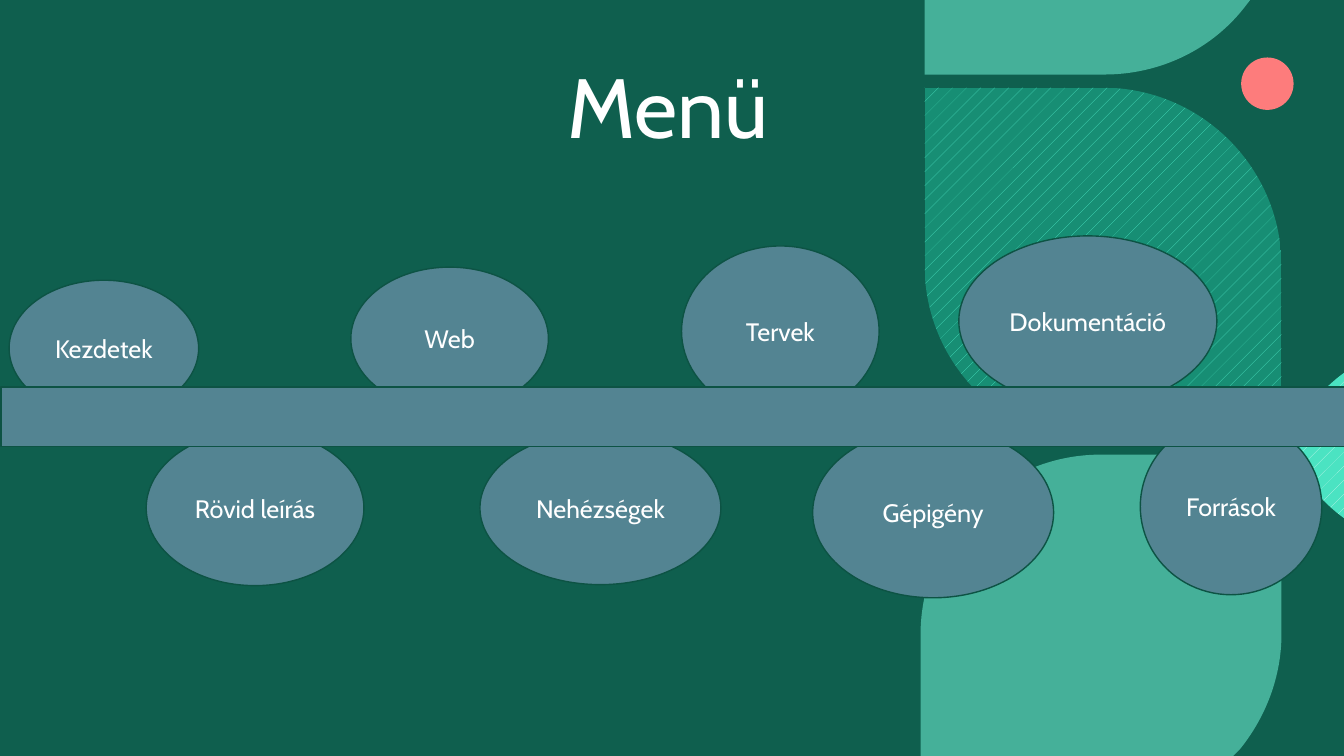
from lxml import etree
from pptx import Presentation
from pptx.dml.color import RGBColor
from pptx.enum.dml import MSO_PATTERN
from pptx.enum.shapes import MSO_SHAPE
from pptx.enum.text import MSO_ANCHOR, PP_ALIGN
from pptx.oxml.ns import qn
from pptx.util import Inches, Pt

RECT, OVAL = MSO_SHAPE.RECTANGLE, MSO_SHAPE.OVAL
LEFT, CENTER = PP_ALIGN.LEFT, PP_ALIGN.CENTER
MIDDLE, BOTTOM = MSO_ANCHOR.MIDDLE, MSO_ANCHOR.BOTTOM
HATCH = MSO_PATTERN.PERCENT_5

BACKGROUND = RGBColor(0x09, 0x39, 0x2F)
GREEN = RGBColor(0x18, 0x99, 0x7E)
DEEP_GREEN = RGBColor(0x17, 0x8E, 0x74)
MINT = RGBColor(0x69, 0xE7, 0xCC)
AQUA = RGBColor(0x4B, 0xE3, 0xC2)
PALE_AQUA = RGBColor(0xC3, 0xF6, 0xEB)
CORAL = RGBColor(0xFD, 0x7C, 0x7C)
STEEL = RGBColor(0x53, 0x84, 0x92)
EDGE = RGBColor(0x0D, 0x53, 0x44)
WHITE = RGBColor(0xFF, 0xFF, 0xFF)

prs = Presentation()
prs.slide_width, prs.slide_height = Inches(13.33), Inches(7.5)
s = prs.slides.add_slide(prs.slide_layouts[6])
s.background.fill.solid()
s.background.fill.fore_color.rgb = BACKGROUND


def paint(sp, color, opacity=100, line=None):
    sp.shadow.inherit = False
    sp.fill.solid()
    sp.fill.fore_color.rgb = color
    if opacity < 100:
        clr = next(sp.element.iter(qn("a:solidFill")))[0]
        etree.SubElement(clr, qn("a:alpha"), val=str(opacity * 1000))
    if line is None:
        sp.line.fill.background()
    else:
        sp.line.color.rgb = line
        sp.line.width = Pt(1)


def write(sp, text, size=18, align=CENTER, anchor=MIDDLE, spacing=1.0):
    tf = sp.text_frame
    tf.word_wrap = True
    tf.vertical_anchor = anchor
    p = tf.paragraphs[0]
    p.alignment = align
    p.line_spacing = spacing
    r = p.add_run()
    r.text = text
    r.font.size = Pt(size)
    r.font.name = "Cabin"
    r.font.color.rgb = WHITE


# Green wash and coral dot
wash = s.shapes.add_shape(RECT, 0, 0, prs.slide_width, prs.slide_height)
paint(wash, GREEN, opacity=40)
dot = s.shapes.add_shape(OVAL, Inches(12.31), Inches(0.57), Inches(0.52), Inches(0.52))
paint(dot, CORAL)

# Leaves: two numbers are a straight edge, six are a Bezier curve
leaves = [
    (MINT, None, [(9.17, 0), (12.4, 0), (12.33, 0.09),
                  (12.01, 0.49, 11.51, 0.74, 10.95, 0.74), (9.17, 0.74)]),
    (MINT, None, [(10.92, 4.51), (12.71, 4.51), (12.71, 6.29),
                  (12.71, 6.72, 12.55, 7.12, 12.3, 7.43), (12.23, 7.5),
                  (9.13, 7.5), (9.13, 6.3), (9.13, 5.31, 9.93, 4.51, 10.92, 4.51)]),
    (AQUA, PALE_AQUA, [(13.33, 3.7), (13.33, 5.14),
                       (13.33, 5.14, 12.86, 4.82, 12.86, 4.42),
                       (12.86, 4.02, 13.33, 3.7, 13.33, 3.7)]),
    (DEEP_GREEN, AQUA, [(12.71, 4.4), (10.94, 4.4),
                        (9.96, 4.4, 9.17, 3.61, 9.17, 2.63), (9.17, 0.87),
                        (10.94, 0.87), (11.91, 0.87, 12.71, 1.66, 12.71, 2.64)]),
]
for color, pattern, outline in leaves:
    corners = [(Inches(edge[-2]), Inches(edge[-1])) for edge in outline]
    builder = s.shapes.build_freeform(*corners[0])
    builder.add_line_segments(corners[1:], close=True)
    leaf = builder.convert_to_shape()

    # Bend the curved edges by putting two control points before the end point
    segments = list(leaf.element.iter(qn("a:lnTo")))
    for segment, edge in zip(segments, outline[1:]):
        if len(edge) == 6:
            segment.tag = qn("a:cubicBezTo")
            for i in (0, 1):
                control = etree.Element(qn("a:pt"),
                                        x=str(Inches(edge[2 * i]) - leaf.left),
                                        y=str(Inches(edge[2 * i + 1]) - leaf.top))
                segment.insert(i, control)

    paint(leaf, color, opacity=100 if pattern else 60)
    if pattern:
        leaf.fill.patterned()
        leaf.fill.pattern = HATCH
        leaf.fill.fore_color.rgb = pattern
        leaf.fill.back_color.rgb = color

# Title
title = s.shapes.add_textbox(Inches(5.53), Inches(0.15), Inches(2.28), Inches(1.45))
write(title, "Menü", size=60, align=LEFT, anchor=BOTTOM, spacing=0.9)

# Menu bubbles
bubbles = [
    ("Dokumentáció", 9.51, 2.34, 2.56, 1.69),
    ("Web", 3.48, 2.65, 1.96, 1.42),
    ("Gépigény", 8.06, 4.24, 2.39, 1.69),
    ("Források", 11.31, 4.15, 1.8, 1.75),
    ("Rövid leírás", 1.45, 4.27, 2.16, 1.54),
    ("Kezdetek", 0.09, 2.78, 1.88, 1.35),
    ("Tervek", 6.76, 2.44, 1.96, 1.69),
    ("Nehézségek", 4.76, 4.28, 2.39, 1.52),
]
for label, *box in bubbles:
    bubble = s.shapes.add_shape(OVAL, *map(Inches, box))
    paint(bubble, STEEL, line=EDGE)
    write(bubble, label)

# Bar across the bubbles, a tall rectangle turned on its side
bar = s.shapes.add_shape(RECT, Inches(6.38), Inches(-2.53), Inches(0.59), Inches(13.33))
bar.rotation = 270
paint(bar, STEEL, line=EDGE)

prs.save("out.pptx")
